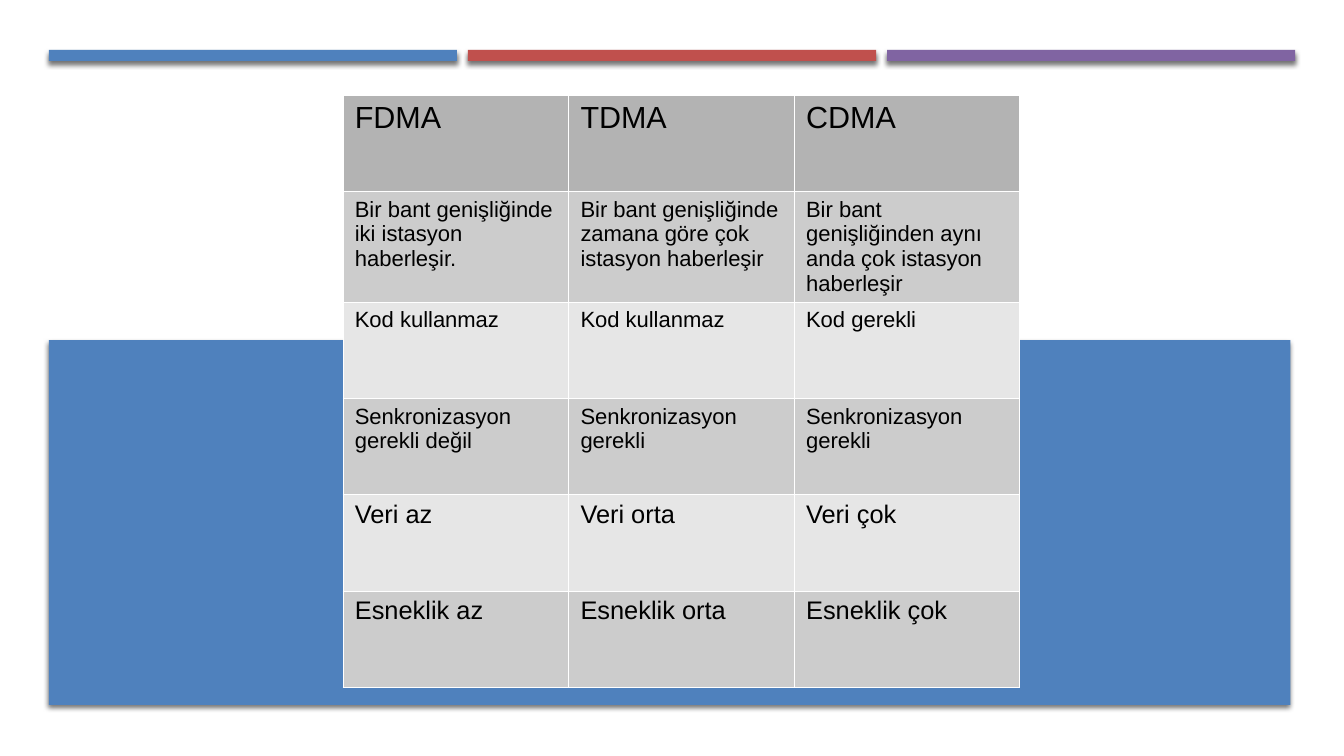
from lxml import etree
from pptx import Presentation
from pptx.dml.color import RGBColor
from pptx.enum.shapes import MSO_SHAPE
from pptx.oxml import parse_xml
from pptx.util import Inches, Pt

RECTANGLE = MSO_SHAPE.RECTANGLE
DRAWING_NS = "http://schemas.openxmlformats.org/drawingml/2006/main"

PAGE_WIDTH, PAGE_HEIGHT = 11.02, 6.2
FONT = "Arial"
COLORS = {
    "blue": "4F81BD", "red": "C0504D", "purple": "8064A2",
    "header": "B3B3B3", "dark_row": "CCCCCC", "light_row": "E6E6E6",
    "text": "000000", "border": "FFFFFF", "shadow": "000000",
}
BORDER_WIDTH = Pt(0.06)

# Each row: text size, then one entry per access method
ROWS = [
    (18, ["FDMA", "TDMA", "CDMA"]),
    (13, ["Bir bant genişliğinde iki istasyon haberleşir.",
          "Bir bant genişliğinde zamana göre çok istasyon haberleşir",
          "Bir bant genişliğinden aynı anda çok istasyon haberleşir"]),
    (13, ["Kod kullanmaz", "Kod kullanmaz", "Kod gerekli"]),
    (13, ["Senkronizasyon gerekli değil", "Senkronizasyon gerekli",
          "Senkronizasyon gerekli"]),
    (15, ["Veri az", "Veri orta", "Veri çok"]),
    (15, ["Esneklik az", "Esneklik orta", "Esneklik çok"]),
]


def rgb(name):
    return RGBColor.from_string(COLORS[name])


def add_panel(page, box, color):
    """Plain rectangle with a soft shadow below it."""
    panel = page.shapes.add_shape(RECTANGLE, *map(Inches, box))
    panel.fill.solid()
    panel.fill.fore_color.rgb = rgb(color)
    panel.line.fill.background()
    panel.shadow.inherit = False
    effects = panel._element.spPr.find(f"{{{DRAWING_NS}}}effectLst")
    effects.append(parse_xml(
        f'<a:outerShdw xmlns:a="{DRAWING_NS}" blurRad="{Pt(3)}" dist="{Pt(2)}" '
        f'dir="5400000" rotWithShape="0"><a:srgbClr val="{COLORS["shadow"]}">'
        '<a:alpha val="55000"/></a:srgbClr></a:outerShdw>'))


def add_top_bars(page, box, colors, gap):
    """Equal bars side by side across the box."""
    left, top, width, height = box
    bar_width = (width - gap * (len(colors) - 1)) / len(colors)
    for index, color in enumerate(colors):
        bar_left = left + index * (bar_width + gap)
        add_panel(page, (bar_left, top, bar_width, height), color)


def add_borders(cell):
    properties = cell._tc.get_or_add_tcPr()
    for position, side in enumerate(("lnL", "lnR", "lnT", "lnB")):
        line = etree.Element(f"{{{DRAWING_NS}}}{side}", w=str(BORDER_WIDTH))
        fill = etree.SubElement(line, f"{{{DRAWING_NS}}}solidFill")
        etree.SubElement(fill, f"{{{DRAWING_NS}}}srgbClr", val=COLORS["border"])
        properties.insert(position, line)


def fill_cell(cell, text, size, color):
    cell.fill.solid()
    cell.fill.fore_color.rgb = rgb(color)
    add_borders(cell)
    span = cell.text_frame.paragraphs[0].add_run()
    span.text = text
    span.font.name = FONT
    span.font.size = Pt(size)
    span.font.bold = False
    span.font.color.rgb = rgb("text")


def row_color(index):
    if index == 0:
        return "header"
    return "dark_row" if index % 2 else "light_row"


def add_comparison_table(page, box, rows):
    """Table of equal rows and columns filling the box."""
    frame = page.shapes.add_table(len(rows), len(rows[0][1]), *map(Inches, box))
    table = frame.table
    for row_index, (size, texts) in enumerate(rows):
        for column_index, text in enumerate(texts):
            cell = table.cell(row_index, column_index)
            fill_cell(cell, text, size, row_color(row_index))


def build_comparison_page(deck):
    page = deck.slides.add_slide(deck.slide_layouts[6])
    margin = 0.4
    # Coloured bars along the top
    add_top_bars(page, (margin, 0.41, PAGE_WIDTH - 2 * margin, 0.09),
                 ["blue", "red", "purple"], gap=0.09)
    # Blue panel on the lower half
    add_panel(page, (margin, PAGE_HEIGHT * 0.45, 10.18, 2.99), "blue")
    # Comparison of access methods
    add_comparison_table(page, (2.81, 0.78, 5.55, 0.79 * len(ROWS)), ROWS)


def main():
    deck = Presentation()
    deck.slide_width = Inches(PAGE_WIDTH)
    deck.slide_height = Inches(PAGE_HEIGHT)
    build_comparison_page(deck)
    deck.save("out.pptx")


if __name__ == "__main__":
    main()
